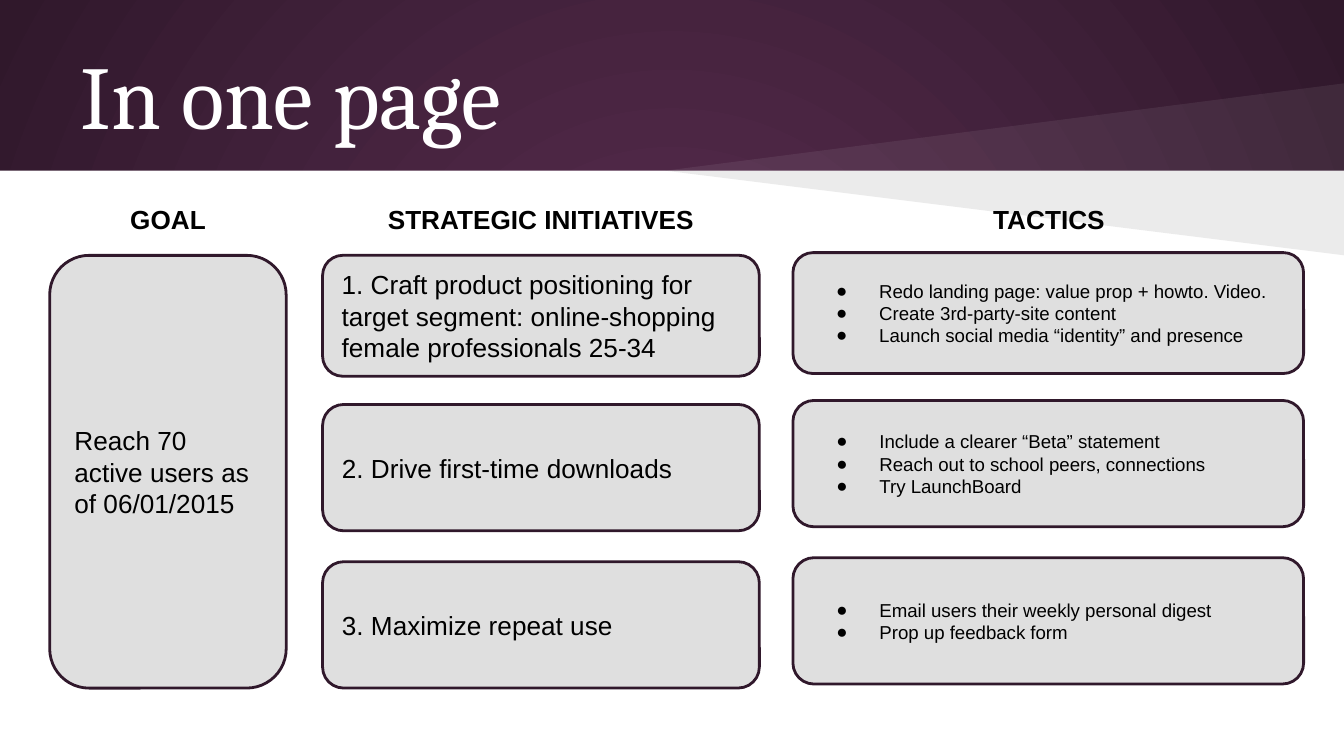
from lxml import etree
from pptx import Presentation
from pptx.dml.color import RGBColor
from pptx.enum.shapes import MSO_SHAPE
from pptx.enum.text import MSO_ANCHOR, MSO_AUTO_SIZE, PP_ALIGN
from pptx.oxml.ns import qn
from pptx.util import Inches, Pt

RECTANGLE = MSO_SHAPE.RECTANGLE
ROUNDED = MSO_SHAPE.ROUNDED_RECTANGLE
TOP, MIDDLE = MSO_ANCHOR.TOP, MSO_ANCHOR.MIDDLE
LEFT, CENTER = PP_ALIGN.LEFT, PP_ALIGN.CENTER
NO_AUTOFIT = MSO_AUTO_SIZE.NONE

PLUM = RGBColor(0x59, 0x2D, 0x50)
DARK_PLUM = RGBColor(0x30, 0x18, 0x2B)
GRAY = RGBColor(0xDF, 0xDF, 0xDF)
WHITE = RGBColor(0xFF, 0xFF, 0xFF)
BLACK = RGBColor(0, 0, 0)

TITLE = "In one page"
HEADINGS = [
    ("GOAL", 0.74, 1.02),
    ("STRATEGIC INITIATIVES", 2.68, 2.69),
    ("TACTICS", 6.46, 2.69),
]
GOAL = "Reach 70 active users as of 06/01/2015"
PLAN = [
    ("1. Craft product positioning for target segment: online-shopping "
     "female professionals 25-34",
     ["Redo landing page: value prop + howto. Video.",
      "Create 3rd-party-site content",
      "Launch social media “identity” and presence"]),
    ("2. Drive first-time downloads",
     ["Include a clearer “Beta” statement",
      "Reach out to school peers, connections",
      "Try LaunchBoard"]),
    ("3. Maximize repeat use",
     ["Email users their weekly personal digest",
      "Prop up feedback form"]),
]

SLIDE_W = 10
SLIDE_H = SLIDE_W * 9 / 16
BAND_H = 1.27
WEDGE_X, WEDGE_TOP, WEDGE_BOTTOM = 4.95, 0.62, 1.9
ROWS = [(1.9, 1.88, 0.9), (3.01, 2.98, 0.94), (4.18, 4.15, 0.94)]
GOAL_X, GOAL_W = 0.37, 1.76
INITIATIVE_X, INITIATIVE_W = 2.4, 3.25
TACTICS_X, TACTICS_W = 5.9, 3.8


def box(x, y, w, h):
    return [Inches(value) for value in (x, y, w, h)]


def add_bullet(paragraph):
    properties = paragraph._p.get_or_add_pPr()
    properties.set("marL", str(Inches(0.5)))
    properties.set("indent", str(Inches(-0.32)))
    color = etree.SubElement(properties, qn("a:buClr"))
    etree.SubElement(color, qn("a:srgbClr")).set("val", str(BLACK))
    etree.SubElement(properties, qn("a:buFont")).set("typeface", "Arial")
    etree.SubElement(properties, qn("a:buChar")).set("char", "●")


def write(shape, lines, size, color=BLACK, font="Arial", bold=False,
          align=LEFT, anchor=MIDDLE, bulleted=False):
    frame = shape.text_frame
    frame.word_wrap = True
    frame.auto_size = NO_AUTOFIT
    frame.vertical_anchor = anchor
    frame.margin_left = frame.margin_right = Inches(0.1)
    frame.margin_top = frame.margin_bottom = Inches(0.1)
    for index, line in enumerate(lines):
        paragraph = frame.add_paragraph() if index else frame.paragraphs[0]
        paragraph.alignment = align
        run = paragraph.add_run()
        run.text = line
        run.font.name = font
        run.font.size = Pt(size)
        run.font.bold = bold
        run.font.color.rgb = color
        if bulleted:
            add_bullet(paragraph)


def paint(shape, color, opacity=None):
    shape.shadow.inherit = False
    shape.fill.solid()
    shape.fill.fore_color.rgb = color
    shape.line.fill.background()
    if opacity is not None:
        srgb = shape.element.spPr.find(qn("a:solidFill")).find(qn("a:srgbClr"))
        etree.SubElement(srgb, qn("a:alpha")).set("val", str(opacity * 1000))


def add_wedge(slide, end_y, color, opacity):
    builder = slide.shapes.build_freeform(
        Inches(SLIDE_W), Inches(BAND_H), scale=1.0)
    builder.add_line_segments(
        [(Inches(WEDGE_X), Inches(BAND_H)), (Inches(SLIDE_W), Inches(end_y))])
    paint(builder.convert_to_shape(), color, opacity)


def add_card(slide, x, y, w, h, lines, size, bulleted=False):
    card = slide.shapes.add_shape(ROUNDED, *box(x, y, w, h))
    paint(card, GRAY)
    card.line.color.rgb = DARK_PLUM
    card.line.width = Pt(1.5)
    write(card, lines, size, bulleted=bulleted)


def add_background(slide):
    fill = slide.background.fill
    fill.gradient()
    for stop, color in zip(fill.gradient_stops, (PLUM, DARK_PLUM)):
        stop.color.rgb = color
    gradient = next(slide.element.iter(qn("a:gradFill")))
    gradient.remove(gradient.find(qn("a:lin")))
    circle = etree.SubElement(gradient, qn("a:path"), {"path": "circle"})
    etree.SubElement(circle, qn("a:fillToRect"),
                     {side: "50000" for side in "ltrb"})


def main():
    deck = Presentation()
    deck.slide_width, deck.slide_height = Inches(SLIDE_W), Inches(SLIDE_H)
    slide = deck.slides.add_slide(deck.slide_layouts[5])

    add_background(slide)
    page = slide.shapes.add_shape(
        RECTANGLE, *box(0, BAND_H, SLIDE_W, SLIDE_H - BAND_H))
    paint(page, WHITE)
    add_wedge(slide, WEDGE_TOP, WHITE, 7)
    add_wedge(slide, WEDGE_BOTTOM, BLACK, 8)

    title = slide.shapes.title
    title.left, title.top, title.width, title.height = box(0.5, 0.23, 9, 0.94)
    write(title, [TITLE], 48, WHITE, "Cambria")
    title.element.getparent().append(title.element)

    first_y = ROWS[0][0]
    last_y, _, last_h = ROWS[-1]
    add_card(slide, GOAL_X, first_y, GOAL_W, last_y + last_h - first_y,
             [GOAL], 14)
    for (initiative, tactics), (y, tactics_y, h) in zip(PLAN, ROWS):
        add_card(slide, INITIATIVE_X, y, INITIATIVE_W, h, [initiative], 14)
        add_card(slide, TACTICS_X, tactics_y, TACTICS_W, h,
                 tactics, 10, bulleted=True)

    for heading, x, w in HEADINGS:
        label = slide.shapes.add_textbox(*box(x, 1.41, w, 0.4))
        write(label, [heading], 14, bold=True, align=CENTER, anchor=TOP)

    deck.save("out.pptx")


if __name__ == "__main__":
    main()
